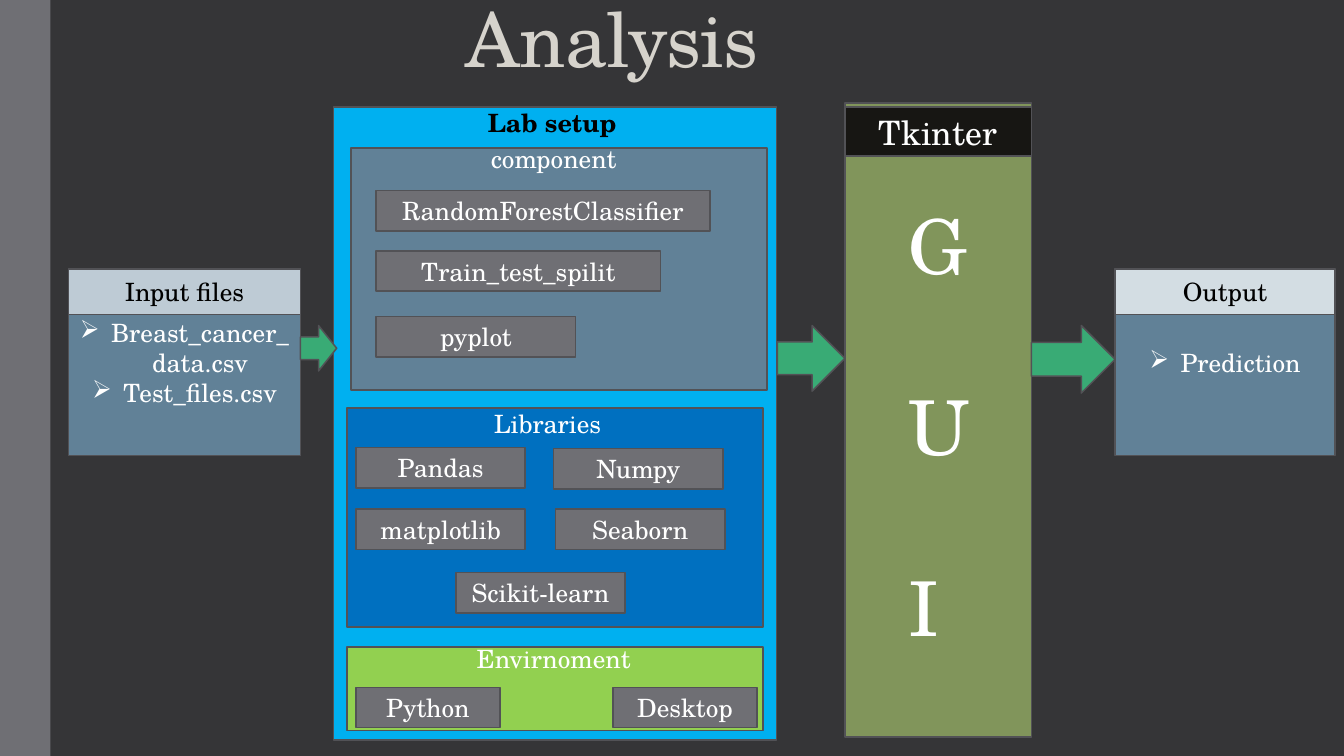
from dataclasses import dataclass

from lxml.etree import SubElement
from pptx import Presentation
from pptx.dml.color import RGBColor
from pptx.enum.shapes import MSO_SHAPE as Kind
from pptx.enum.text import MSO_ANCHOR as Anchor, MSO_AUTO_SIZE as Fit, PP_ALIGN as Align
from pptx.oxml.ns import qn
from pptx.util import Emu, Pt

FONT = "TeX Gyre Schola"
COLORS = {
    "back": "353537", "gray": "6F6F74", "edge": "525256", "title": "D6D3CC",
    "slate": "618197", "mist": "BECBD5", "pale": "D3DDE3", "sky": "00B0F0",
    "blue": "0070C0", "lime": "92D050", "olive": "81955B", "ink": "171613",
    "green": "39AB75", "white": "FFFFFF", "black": "000000",
}


@dataclass
class Box:
    """A filled shape with optional centred text."""
    x: int
    y: int
    w: int
    h: int
    fill: str
    text: str = ""
    color: str = "white"
    size: int = 18
    mark: bool = False
    kind: Kind = Kind.RECTANGLE
    edge: bool = True


@dataclass
class Label:
    """A free line of left-aligned text."""
    x: int
    y: int
    w: int
    h: int
    text: str
    color: str = "white"
    size: int = 18
    bold: bool = False
    wrap: bool = True
    gap: float = 0


def tag(x: int, y: int, w: int, text: str) -> Box:
    """Return a gray name plate of the common height."""
    return Box(x, y, w, 40, "gray", text)


def arrow(x: int, w: int, h: int) -> Box:
    """Return a flow arrow on the common top line."""
    return Box(x, 323, w, h, "green", kind=Kind.RIGHT_ARROW)


BOXES = [
    Box(0, 0, 50, 750, "gray", edge=False),
    Box(68, 267, 230, 185, "slate", "Breast_cancer_data.csv\nTest_files.csv", mark=True),
    Box(68, 267, 230, 45, "mist", "Input files", "black"),
    Box(1106, 267, 218, 185, "slate", "Prediction", mark=True),
    Box(1106, 267, 218, 45, "pale", "Output", "black"),
    Box(331, 106, 439, 628, "sky"),
    Box(344, 642, 413, 83, "lime"),
    tag(353, 682, 143, "Python"),
    tag(608, 682, 143, "Desktop"),
    Box(838, 102, 185, 629, "olive"),
    Box(348, 147, 413, 240, "slate"),
    Box(344, 405, 413, 217, "blue"),
    tag(373, 189, 331, "RandomForestClassifier"),
    tag(373, 249, 282, "Train_test_spilit"),
    tag(373, 314, 198, "pyplot"),
    tag(353, 444, 168, "Pandas"),
    tag(549, 445, 168, "Numpy"),
    tag(353, 505, 168, "matplotlib"),
    tag(551, 505, 168, "Seaborn"),
    tag(452, 568, 168, "Scikit-learn"),
    Box(838, 106, 185, 49, "ink", "Tkinter", size=24),
    arrow(298, 36, 45),
    arrow(771, 67, 65),
    arrow(1023, 83, 67),
]

LABELS = [
    Label(474, 102, 267, 40, "Lab setup", "black", bold=True),
    Label(477, 137, 147, 40, "component", wrap=False),
    Label(480, 400, 128, 40, "Libraries", wrap=False),
    Label(463, 633, 239, 40, "Envirnoment"),
    Label(891, 192, 100, 464, "G\nU\nI", size=54, gap=64.5),
]


def px(num: int) -> Emu:
    """Turn px into EMU, at 100 px to the inch."""
    return Emu(num * 9144)


def hue(name: str) -> RGBColor:
    """Look up a named colour."""
    return RGBColor.from_string(COLORS[name])


def style(frame, color: str, size: int, align: Align, bold: bool = False) -> None:
    """Format every run of a text frame."""
    for par in frame.paragraphs:
        par.alignment = align
        for run in par.runs:
            font = run.font
            font.name, font.size, font.bold = FONT, Pt(size), bold
            font.color.rgb = hue(color)


def bullet(par) -> None:
    """Give a paragraph an arrowhead bullet with a hanging indent."""
    props = par._p.get_or_add_pPr()
    props.set("marL", str(px(31)))
    props.set("indent", str(px(-31)))
    SubElement(props, qn("a:buChar")).set("char", "➢")


def draw_box(slide, box: Box) -> None:
    """Draw a filled shape and its text."""
    shape = slide.shapes.add_shape(box.kind, px(box.x), px(box.y), px(box.w), px(box.h))
    shape.shadow.inherit = False
    shape.fill.solid()
    shape.fill.fore_color.rgb = hue(box.fill)
    if box.edge:
        shape.line.color.rgb = hue("edge")
        shape.line.width = Pt(1.1)
    else:
        shape.line.fill.background()
    if box.text:
        frame = shape.text_frame
        frame.text = box.text
        frame.word_wrap = True
        frame.vertical_anchor = Anchor.MIDDLE
        style(frame, box.color, box.size, Align.CENTER)
        if box.mark:
            for par in frame.paragraphs:
                bullet(par)


def draw_label(slide, label: Label) -> None:
    """Draw a text box, with any gap between its paragraphs."""
    area = slide.shapes.add_textbox(px(label.x), px(label.y), px(label.w), px(label.h))
    frame = area.text_frame
    frame.text = label.text
    frame.word_wrap = label.wrap
    frame.auto_size = Fit.SHAPE_TO_FIT_TEXT
    style(frame, label.color, label.size, Align.LEFT, label.bold)
    for par in frame.paragraphs[1:]:
        par.space_before = Pt(label.gap)


def draw_title(slide, text: str) -> None:
    """Place and format the title placeholder."""
    title = slide.shapes.title
    title.left, title.top, title.width, title.height = px(452), px(-7), px(1030), px(94)
    frame = title.text_frame
    frame.text = text
    frame.word_wrap = True
    frame.auto_size = Fit.NONE
    frame.vertical_anchor = Anchor.BOTTOM
    style(frame, "title", 54, Align.LEFT)
    par = frame.paragraphs[0]
    par.line_spacing = 0.85
    par.runs[0].font._element.set("spc", "-50")


def main() -> None:
    """Build the slide and save it."""
    deck = Presentation()
    deck.slide_width, deck.slide_height = px(1333), px(750)
    slide = deck.slides.add_slide(deck.slide_layouts[5])
    slide.background.fill.solid()
    slide.background.fill.fore_color.rgb = hue("back")
    draw_title(slide, "Analysis")
    for box in BOXES:
        draw_box(slide, box)
    for label in LABELS:
        draw_label(slide, label)
    deck.save("out.pptx")


if __name__ == "__main__":
    main()
